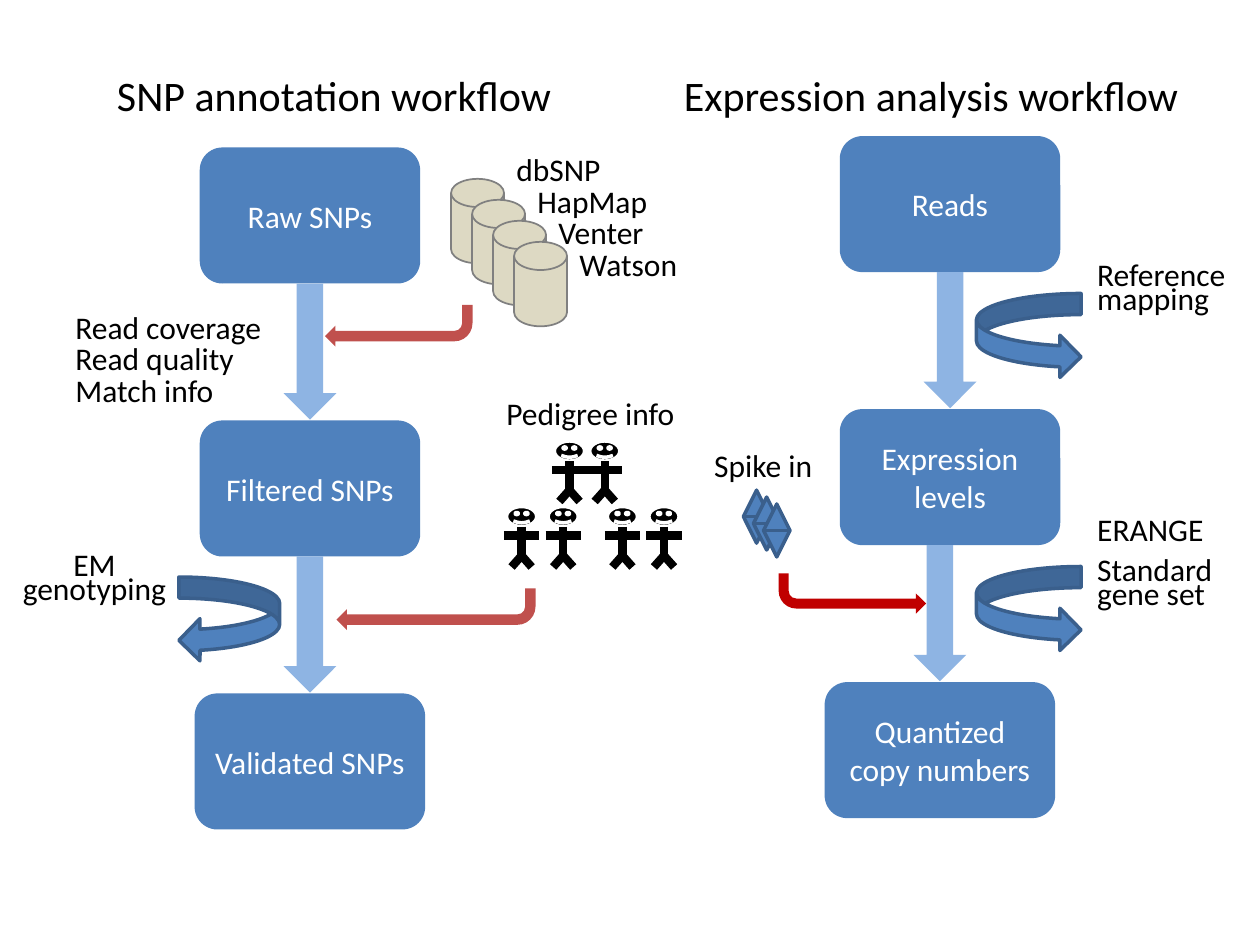
from dataclasses import dataclass

from lxml import etree
from pptx import Presentation
from pptx.dml.color import RGBColor
from pptx.enum.shapes import MSO_CONNECTOR, MSO_SHAPE
from pptx.enum.text import MSO_ANCHOR, PP_ALIGN
from pptx.oxml.ns import qn
from pptx.util import Inches, Pt

LEFT, CENTER = PP_ALIGN.LEFT, PP_ALIGN.CENTER
TOP, MIDDLE = MSO_ANCHOR.TOP, MSO_ANCHOR.MIDDLE
STRAIGHT = MSO_CONNECTOR.STRAIGHT
ROUNDED_BOX = MSO_SHAPE.ROUNDED_RECTANGLE
RIGHT_ARROW = MSO_SHAPE.RIGHT_ARROW
BENT_ARROW = MSO_SHAPE.BENT_ARROW
LOOP_LEFT = MSO_SHAPE.CURVED_LEFT_ARROW
LOOP_RIGHT = MSO_SHAPE.CURVED_RIGHT_ARROW
CYLINDER = MSO_SHAPE.FLOWCHART_MAGNETIC_DISK
DIAMOND = MSO_SHAPE.FLOWCHART_SORT
FACE = MSO_SHAPE.SMILEY_FACE


@dataclass(frozen=True)
class Theme:
    """Colours and type sizes of the slide."""
    font: str = "Calibri"
    heading: int = 24
    body: int = 18
    tight: int = 14
    black: str = "000000"
    white: str = "FFFFFF"
    blue: str = "4F81BD"
    blue_edge: str = "3A5F8C"
    light_blue: str = "8EB4E3"
    red: str = "C0504D"
    dark_red: str = "C00000"
    sand: str = "DDD9C3"
    gray: str = "808080"


THEME = Theme()
STAGE_HEIGHT = 1.08
STAGE_PITCH = 13 / 6


def write_text(frame, text, size=THEME.body, color=THEME.black, align=LEFT,
               anchor=TOP, spacing=None, wrap=True):
    """Fill a text frame, one paragraph for each line of text."""
    frame.word_wrap = wrap
    frame.vertical_anchor = anchor
    frame.text = text
    for paragraph in frame.paragraphs:
        paragraph.alignment = align
        if spacing:
            paragraph.line_spacing = Pt(spacing)
        for run in paragraph.runs:
            run.font.name = THEME.font
            run.font.size = Pt(size)
            run.font.color.rgb = RGBColor.from_string(color)


def add_label(slide, text, left, top, width, height=0.31, **text_format):
    """Add a text box."""
    box = slide.shapes.add_textbox(*map(Inches, (left, top, width, height)))
    write_text(box.text_frame, text, **text_format)


def add_figure(slide, kind, left, top, width, height, fill,
               line=None, line_width=2, rotation=0, flip=False):
    """Add a preset shape without shadow, with an outline only if given."""
    shape = slide.shapes.add_shape(kind, *map(Inches, (left, top, width, height)))
    shape.shadow.inherit = False
    shape.fill.solid()
    shape.fill.fore_color.rgb = RGBColor.from_string(fill)
    if line:
        shape.line.color.rgb = RGBColor.from_string(line)
        shape.line.width = Pt(line_width)
    else:
        shape.line.fill.background()
    shape.rotation = rotation
    if flip:
        shape.element.spPr.find(qn("a:xfrm")).set("flipV", "1")
    return shape


def add_limb(slide, start_x, start_y, end_x, end_y):
    """Add one thick black line of a stick person."""
    limb = slide.shapes.add_connector(
        STRAIGHT, *map(Inches, (start_x, start_y, end_x, end_y)))
    limb.line.color.rgb = RGBColor.from_string(THEME.black)
    limb.line.width = Pt(4.75)
    etree.SubElement(limb.element.spPr, qn("a:effectLst"))


def add_person(slide, left, top):
    """Draw a stick person whose head starts at left and top."""
    add_figure(slide, FACE, left, top, 0.24, 0.16, THEME.black, THEME.white)
    middle, hip = left + 0.12, top + 0.39
    add_limb(slide, middle, top + 0.16, middle, top + 0.4)
    for side in (0.08, -0.08):
        add_limb(slide, middle, hip, middle + side, top + 0.48)
    add_limb(slide, middle - 0.14, top + 0.23, middle + 0.14, top + 0.23)


def add_pedigree(slide, left, top):
    """Draw the parents over two pairs of children, with their label."""
    add_label(slide, "Pedigree info", left, top, 1.67, 0.4)
    for x in (0.48, 0.76):
        add_person(slide, left + x, top + 0.42)
    for x in (0.1, 0.43, 0.9, 1.23):
        add_person(slide, left + x, top + 0.94)


def add_databases(slide, left, top):
    """Draw a cascade of databases, each with its name."""
    step = 1 / 6
    names = ("dbSNP", "HapMap", "Venter", "Watson")
    for index in range(len(names)):
        add_figure(slide, CYLINDER, left + index * step, top + 0.17 + index * step,
                   0.42, 0.67, THEME.sand, THEME.gray, 1)
    for index, name in enumerate(names):
        add_label(slide, name, left + 0.42 + index * step, top + index * 0.25,
                  1.17, spacing=THEME.tight)


def add_spike_in(slide, left, top):
    """Draw the spike-in label, its three diamonds and the arrow they feed."""
    add_figure(slide, BENT_ARROW, left + 0.61, top + 1.06, 1.17, 0.32,
               THEME.dark_red, flip=True)
    add_label(slide, "Spike in", left, top, 1.08, 0.4)
    for index in range(3):
        add_figure(slide, DIAMOND, left + 0.33 + index * 0.08,
                   top + 0.4 + index * 0.055, 0.21, 0.42,
                   THEME.blue, THEME.blue_edge)


def add_stages(slide, top, stages, arrow_centers):
    """Stack stages (label, center, width) and join them with arrows."""
    for index, (label, center, width) in enumerate(stages):
        box = add_figure(slide, ROUNDED_BOX, center - width / 2,
                         top + index * STAGE_PITCH, width, STAGE_HEIGHT, THEME.blue)
        write_text(box.text_frame, label, color=THEME.white,
                   align=CENTER, anchor=MIDDLE)
    length, thickness = STAGE_HEIGHT, 0.42
    for index, center in enumerate(arrow_centers):
        middle = top + index * STAGE_PITCH + STAGE_HEIGHT * 1.5
        add_figure(slide, RIGHT_ARROW, center - length / 2, middle - thickness / 2,
                   length, thickness, THEME.light_blue, rotation=90)


def add_snp_workflow(slide, left, top):
    """Build the SNP annotation column."""
    add_label(slide, "SNP annotation workflow", left + 0.83, top, 3.75, 0.5,
              size=THEME.heading)
    center = left + 2.46
    add_stages(slide, top + 0.67,
               (("Raw SNPs", center, 1.75), ("Filtered SNPs", center, 1.75),
                ("Validated SNPs", center, 1.83)), (center, center))
    for index, text in enumerate(("Read coverage", "Read quality", "Match info")):
        add_label(slide, text, left + 0.5, top + 2 + index * 0.25, 1.83,
                  spacing=THEME.tight)
    for x, y, width in ((2.58, 1.92, 1.17), (2.67, 4.17, 1.58)):
        add_figure(slide, BENT_ARROW, left + x, top + y, width, 0.33,
                   THEME.red, rotation=180)
    add_databases(slide, left + 3.58, top + 0.75)
    add_pedigree(slide, left + 3.92, top + 2.58)
    add_figure(slide, LOOP_LEFT, left + 1.42, top + 4.08, 0.8, 0.67,
               THEME.blue, THEME.blue_edge)
    add_label(slide, "EM\vgenotyping", left, top + 3.88, 1.5, 0.51,
              align=CENTER, spacing=THEME.tight)


def add_expression_workflow(slide, left, top):
    """Build the expression analysis column."""
    add_label(slide, "Expression analysis workflow", left, top, 4.33, 0.5,
              size=THEME.heading)
    center, last_center = left + 2.21, left + 2.13
    add_stages(slide, top + 0.58,
               (("Reads", center, 1.75), ("Expression levels", center, 1.75),
                ("Quantized copy numbers", last_center, 1.83)),
               (center, last_center))
    for index in range(2):
        add_figure(slide, LOOP_RIGHT, left + 2.42, top + 1.83 + index * STAGE_PITCH,
                   0.83, 0.67, THEME.blue, THEME.blue_edge)
    for text, y, width, height, spacing in (
            ("Reference\nmapping", 1.58, 1.23, 0.51, THEME.tight),
            ("ERANGE", 3.5, 1.05, 0.4, None),
            ("Standard\ngene set", 3.92, 1.12, 0.51, THEME.tight)):
        add_label(slide, text, left + 3.28, top + y, width, height,
                  spacing=spacing, wrap=False)
    add_spike_in(slide, left + 0.24, top + 2.99)


def main():
    """Build and save the presentation."""
    presentation = Presentation()
    presentation.slide_width, presentation.slide_height = Inches(10), Inches(7.5)
    slide = presentation.slides.add_slide(presentation.slide_layouts[6])
    add_snp_workflow(slide, 0, 0.5)
    add_expression_workflow(slide, 5.33, 0.5)
    presentation.save("out.pptx")


main()
